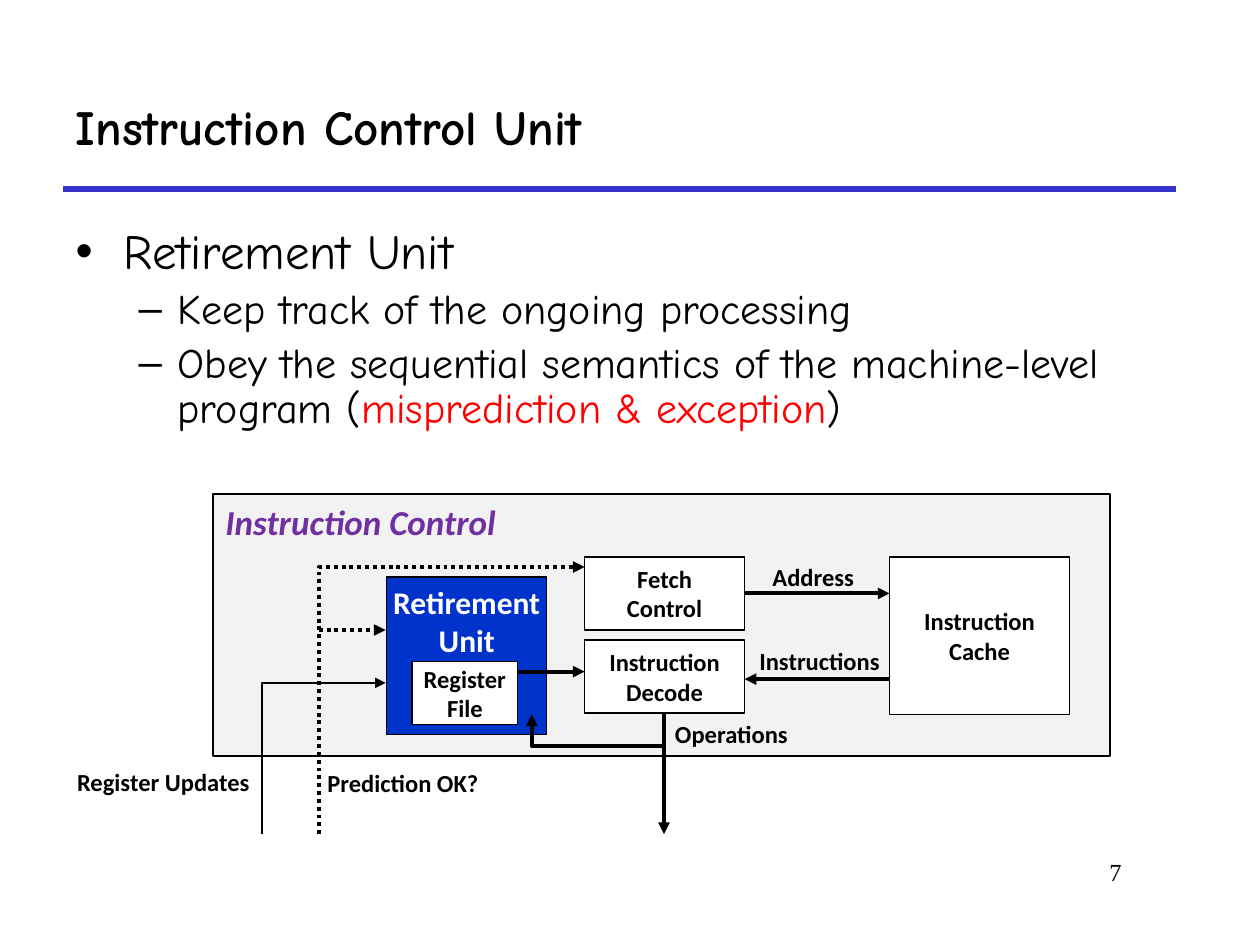
from dataclasses import dataclass

from lxml.etree import SubElement
from pptx import Presentation
from pptx.dml.color import RGBColor
from pptx.enum.dml import MSO_LINE
from pptx.enum.shapes import MSO_CONNECTOR, MSO_SHAPE
from pptx.enum.text import MSO_ANCHOR, MSO_AUTO_SIZE, PP_ALIGN
from pptx.oxml.ns import qn
from pptx.util import Emu, Pt

PX = 9144  # EMU per px, 100 px to the inch


@dataclass(frozen=True)
class Theme:
    black: str = "000000"
    white: str = "FFFFFF"
    panel: str = "F2F2F2"
    unit: str = "0033CC"
    rule: str = "3333CC"
    heading: str = "7030A0"
    accent: str = "FF0000"
    text_font: str = "Comic Neue"
    label_font: str = "Calibri"
    number_font: str = "Times New Roman"
    title_size: int = 28
    sub_size: int = 24
    panel_size: int = 20
    unit_size: int = 18
    label_size: int = 14


THEME = Theme()


def px(*lengths):
    return [Emu(length * PX) for length in lengths]


def write_text(paragraph, text, size=THEME.label_size, font=THEME.label_font,
               color=THEME.black, bold=False, italic=False):
    run = paragraph.add_run()
    run.text = text
    run.font.size = Pt(size)
    run.font.name = font
    run.font.bold = bold
    run.font.italic = italic
    run.font.color.rgb = RGBColor.from_string(color)


def write_lines(shape, text, align=PP_ALIGN.CENTER, anchor=MSO_ANCHOR.TOP,
                wrap=False, **text_format):
    frame = shape.text_frame
    frame.word_wrap = wrap
    frame.vertical_anchor = anchor
    for index, line in enumerate(text.split("\n")):
        paragraph = frame.add_paragraph() if index else frame.paragraphs[0]
        paragraph.alignment = align
        write_text(paragraph, line, **text_format)


def add_label(slide, box, text, **text_format):
    write_lines(slide.shapes.add_textbox(*px(*box)), text, **text_format)


def add_block(slide, box, text, fill=THEME.white, line_width=0.75, **text_format):
    shape = slide.shapes.add_shape(MSO_SHAPE.RECTANGLE, *px(*box))
    shape.shadow.inherit = False
    shape.fill.solid()
    shape.fill.fore_color.rgb = RGBColor.from_string(fill)
    shape.line.color.rgb = RGBColor.from_string(THEME.black)
    shape.line.width = Pt(line_width)
    write_lines(shape, text, bold=True, **text_format)


def add_path(slide, points, color=THEME.black, width=2.25, dotted=False, arrow=True):
    """Draw a connector through two points, or an open outline through more."""
    points = [tuple(px(*point)) for point in points]
    if len(points) == 2:
        shape = slide.shapes.add_connector(MSO_CONNECTOR.STRAIGHT, *points[0], *points[1])
    else:
        builder = slide.shapes.build_freeform(*points[0])
        builder.add_line_segments(points[1:], close=False)
        shape = builder.convert_to_shape()
        shape.fill.background()
    shape.line.color.rgb = RGBColor.from_string(color)
    shape.line.width = Pt(width)
    if dotted:
        shape.line.dash_style = MSO_LINE.ROUND_DOT
    properties = shape._element.spPr
    if arrow:
        SubElement(properties.find(qn("a:ln")), qn("a:tailEnd"), type="triangle")
    SubElement(properties, qn("a:effectLst"))


def place(shape, box):
    shape.left, shape.top, shape.width, shape.height = px(*box)
    shape.text_frame.auto_size = MSO_AUTO_SIZE.NONE


def add_title(slide, box):
    left, top, width, height = box
    place(slide.shapes.title, box)
    write_lines(slide.shapes.title, "Instruction Control Unit", align=PP_ALIGN.LEFT,
                anchor=MSO_ANCHOR.MIDDLE, wrap=True, bold=True,
                size=THEME.title_size, font=THEME.text_font)
    # Rule under the title
    bottom = top + height
    add_path(slide, [(left, bottom), (left + width, bottom)],
             color=THEME.rule, width=3, arrow=False)


def add_bullets(slide, box):
    body = slide.placeholders[1]
    place(body, box)
    items = [
        (0, [("Retirement Unit", THEME.black)]),
        (1, [("Keep track of the ongoing processing", THEME.black)]),
        (1, [("Obey the sequential semantics of the machine-level program (", THEME.black),
             ("misprediction & exception", THEME.accent),
             (")", THEME.black)]),
    ]
    # Margin, hanging indent, bullet and type size of each level
    levels = [(38, 38, "•", THEME.title_size), (81, 31, "–", THEME.sub_size)]
    for index, (level, runs) in enumerate(items):
        paragraph = body.text_frame.add_paragraph() if index else body.text_frame.paragraphs[0]
        margin, hanging, bullet, size = levels[level]
        paragraph.level = level
        properties = paragraph._p.get_or_add_pPr()
        properties.set("marL", str(margin * PX))
        properties.set("indent", str(-hanging * PX))
        SubElement(properties, qn("a:buChar"), char=bullet)
        paragraph.line_spacing = 0.9
        paragraph.space_before = Pt(0.2 * size if index else 0)
        for text, color in runs:
            write_text(paragraph, text, size=size, font=THEME.text_font, color=color)


def add_diagram(slide, box):
    left, top, _, bottom = box

    def at(x, y, width, height):
        return left + x, top + y, width, height

    # Panel and units
    add_block(slide, at(119, 0, 712, 208), "Instruction Control", fill=THEME.panel,
              line_width=1.5, align=PP_ALIGN.LEFT, wrap=True, italic=True,
              size=THEME.panel_size, color=THEME.heading)
    add_block(slide, at(257, 66, 127, 125), "Retirement\nUnit", fill=THEME.unit,
              size=THEME.unit_size, color=THEME.white)
    for block, text in [
        ((656, 50, 143, 125), "Instruction\nCache"),
        ((414, 50, 127, 58), "Fetch\nControl"),
        ((414, 116, 127, 58), "Instruction\nDecode"),
        ((277, 133, 84, 50), "Register\nFile"),
    ]:
        add_block(slide, at(*block), text, anchor=MSO_ANCHOR.MIDDLE)

    # Signals, each drawn towards its arrowhead
    for points, line_format in [
        ([(541, 79), (656, 79)], {}),
        ([(656, 147), (541, 147)], {}),
        ([(477, 175), (477, bottom)], {}),
        ([(361, 141), (414, 141)], {}),
        ([(477, 200), (372, 200), (372, 175)], {}),
        ([(203, bottom), (203, 58), (414, 58)], {"dotted": True}),
        ([(203, 108), (256, 108)], {"dotted": True}),
        ([(158, bottom), (158, 150), (256, 150)], {"width": 1.5}),
    ]:
        add_path(slide, [(left + x, top + y) for x, y in points], **line_format)

    # Signal names
    for x, y, width, text, align in [
        (553, 49, 85, "Address", PP_ALIGN.CENTER),
        (542, 116, 117, "Instructions", PP_ALIGN.CENTER),
        (475, 174, 111, "Operations", PP_ALIGN.CENTER),
        (200, 213, 141, "Prediction OK?", PP_ALIGN.LEFT),
        (0, 212, 158, "Register Updates", PP_ALIGN.RIGHT),
    ]:
        add_label(slide, at(x, y, width, 34), text, align=align, bold=True)


def main():
    presentation = Presentation()
    presentation.slide_width, presentation.slide_height = px(1000, 750)
    slide = presentation.slides.add_slide(presentation.slide_layouts[1])
    add_title(slide, (50, 50, 883, 100))
    add_bullets(slide, (50, 175, 908, 483))
    add_diagram(slide, (50, 392, 831, 270))
    # Page number
    add_label(slide, (758, 675, 142, 50), "7", align=PP_ALIGN.RIGHT, wrap=True,
              font=THEME.number_font)
    presentation.save("out.pptx")


if __name__ == "__main__":
    main()
